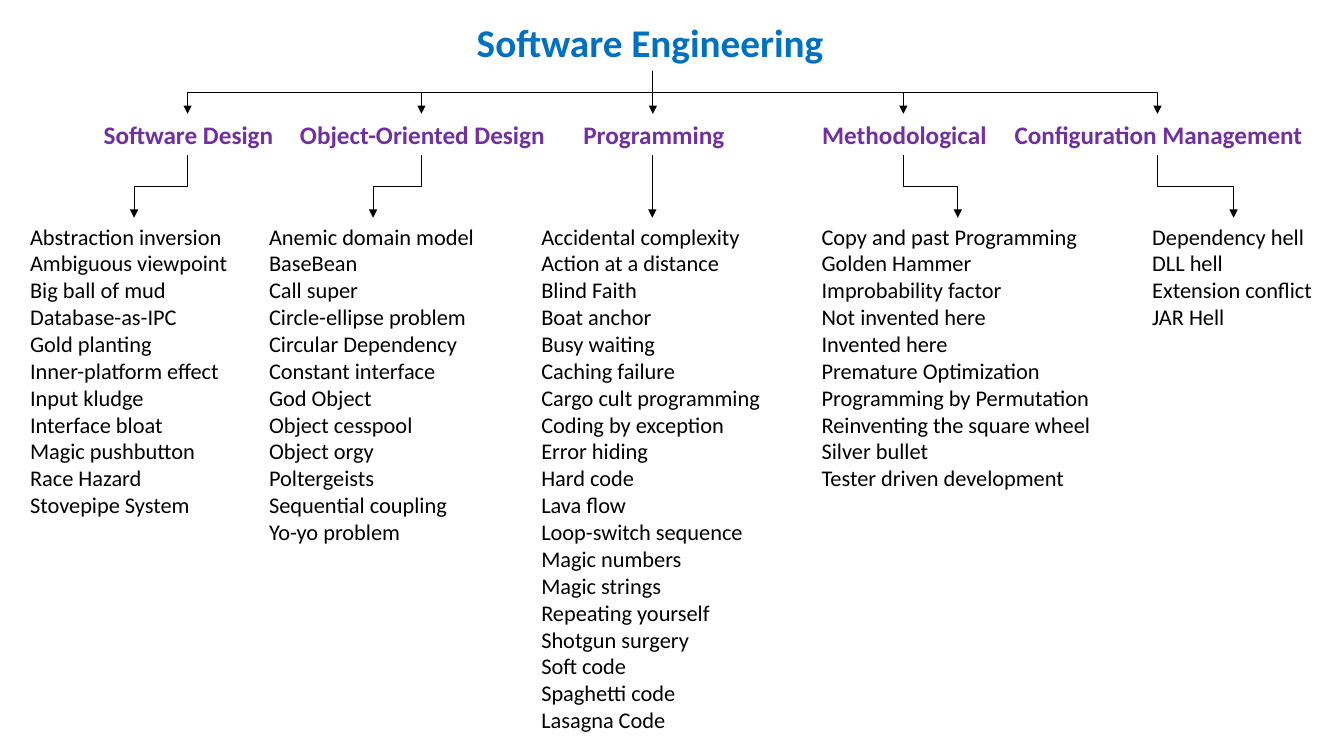
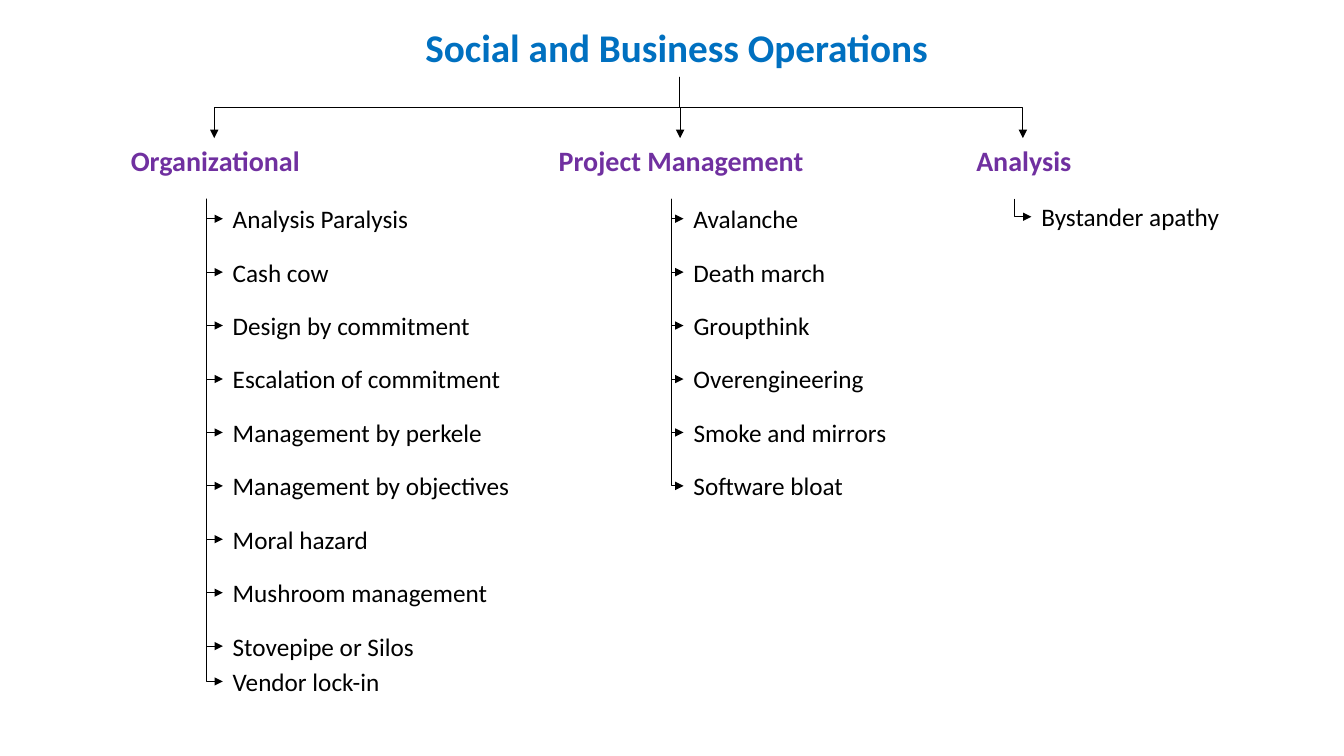
import dataclasses

import lxml.etree
import pptx
import pptx.dml.color
import pptx.enum.shapes
import pptx.enum.text
import pptx.oxml.ns
import pptx.util

Inches = pptx.util.Inches
Align = pptx.enum.text.PP_ALIGN


@dataclasses.dataclass(frozen=True)
class Theme:
    font: str = "Calibri"
    title: str = "0070C0"
    head: str = "7030A0"
    ink: str = "000000"
    big: int = 28
    mid: int = 20
    base: int = 18
    small: int = 16
    line: float = 0.75


theme = Theme()


def write(text, *, slide, left, top, width, high=0.4, size=theme.base,
          color=theme.ink, bold=False, align=Align.LEFT):
    box = slide.shapes.add_textbox(Inches(left), Inches(top), Inches(width + 0.02), Inches(high))
    frame = box.text_frame
    frame.word_wrap = True
    frame.auto_size = pptx.enum.text.MSO_AUTO_SIZE.SHAPE_TO_FIT_TEXT
    frame.text = text
    for para in frame.paragraphs:
        para.alignment = align
        para.font.name = theme.font
        para.font.size = pptx.util.Pt(size)
        para.font.bold = bold
        para.font.color.rgb = pptx.dml.color.RGBColor.from_string(color)


def link(slide, start, end, shape="bentConnector3"):
    (x1, y1), (x2, y2) = start, end
    mid_x, mid_y = (x1 + x2) / 2, (y1 + y2) / 2
    half_w, half_h = (y2 - y1) / 2, abs(x2 - x1) / 2
    line = slide.shapes.add_connector(
        pptx.enum.shapes.MSO_CONNECTOR.ELBOW,
        Inches(mid_x - half_w), Inches(mid_y - half_h),
        Inches(mid_x + half_w), Inches(mid_y + half_h))
    line.line.width = pptx.util.Pt(theme.line)
    line.line.color.rgb = pptx.dml.color.RGBColor.from_string(theme.ink)
    props = line._element.spPr
    frame = props.find(pptx.oxml.ns.qn("a:xfrm"))
    if x2 < x1:
        frame.set("rot", "5400000")
    else:
        frame.set("rot", "16200000")
        frame.set("flipH", "1")
    props.find(pptx.oxml.ns.qn("a:prstGeom")).set("prst", shape)
    tail = lxml.etree.SubElement(props.find(pptx.oxml.ns.qn("a:ln")), pptx.oxml.ns.qn("a:tailEnd"))
    tail.set("type", "triangle")
    lxml.etree.SubElement(props, pptx.oxml.ns.qn("a:effectLst"))


deck = pptx.Presentation()
deck.slide_width, deck.slide_height = Inches(13.33), Inches(7.5)
blank = deck.slide_layouts[6]

title_style = dict(high=0.57, size=theme.big, color=theme.title, bold=True)
head_style = dict(color=theme.head, bold=True, align=Align.CENTER)

topics = [
    ("Software Design", 0.8, 2.12, 0.2, 2.26, [
        "Abstraction inversion", "Ambiguous viewpoint", "Big ball of mud",
        "Database-as-IPC", "Gold planting", "Inner-platform effect",
        "Input kludge", "Interface bloat", "Magic pushbutton",
        "Race Hazard", "Stovepipe System"]),
    ("Object-Oriented Design", 2.69, 2.98, 2.57, 2.26, [
        "Anemic domain model", "BaseBean", "Call super",
        "Circle-ellipse problem", "Circular Dependency", "Constant interface",
        "God Object", "Object cesspool", "Object orgy", "Poltergeists",
        "Sequential coupling", "Yo-yo problem"]),
    ("Programming", 5.67, 1.61, 5.27, 2.4, [
        "Accidental complexity", "Action at a distance", "Blind Faith",
        "Boat anchor", "Busy waiting", "Caching failure",
        "Cargo cult programming", "Coding by exception", "Error hiding",
        "Hard code", "Lava flow", "Loop-switch sequence", "Magic numbers",
        "Magic strings", "Repeating yourself", "Shotgun surgery", "Soft code",
        "Spaghetti code", "Lasagna Code"]),
    ("Methodological", 8.04, 1.84, 8.05, 2.9, [
        "Copy and past Programming", "Golden Hammer", "Improbability factor",
        "Not invented here", "Invented here", "Premature Optimization",
        "Programming by Permutation", "Reinventing the square wheel",
        "Silver bullet", "Tester driven development"]),
    ("Configuration Management", 9.94, 3.08, 11.33, 1.81, [
        "Dependency hell", "DLL hell", "Extension conflict", "JAR Hell"]),
]

slide = deck.slides.add_slide(blank)
write("Software Engineering", slide=slide, left=4.63, top=0.13, width=3.69, **title_style)
for head, left, width, list_left, list_width, items in topics:
    center = left + width / 2
    write(head, slide=slide, left=left, top=1.13, width=width, **head_style)
    write("\n".join(items), slide=slide, left=list_left, top=2.16, width=list_width,
          high=0.1 + 0.27 * len(items), size=theme.small)
    link(slide, (6.47, 0.7), (center, 1.13))
    link(slide, (center, 1.54), (list_left + list_width / 2, 2.16))

groups = [
    ("Organizational", 1.18, 1.89, 2.21, 1.97, [
        ("Analysis Paralysis", 1.96), ("Cash cow", 1.16),
        ("Design by commitment", 2.58), ("Escalation of commitment", 2.89),
        ("Management by perkele", 2.7), ("Management by objectives", 2.98),
        ("Moral hazard", 1.56), ("Mushroom management", 2.75),
        ("Stovepipe or Silos", 2.02), ("Vendor lock-in", 1.68)]),
    ("Project Management", 5.42, 2.65, 6.78, 1.97, [
        ("Avalanche", 1.25), ("Death march", 1.52), ("Groupthink", 1.37),
        ("Overengineering", 1.91), ("Smoke and mirrors", 2.13),
        ("Software bloat", 1.71)]),
    ("Analysis", 9.57, 1.15, 10.23, 1.95, [("Bystander apathy", 1.98)]),
]
step, last = 0.53, 6.56

slide = deck.slides.add_slide(blank)
write("Social and Business Operations", slide=slide, left=4.12, top=0.18, width=5.24, **title_style)
for head, left, width, item_left, first, items in groups:
    center = left + width / 2
    write(head, slide=slide, left=left, top=1.37, width=width, high=0.44,
          size=theme.mid, **head_style)
    link(slide, (6.74, 0.76), (center, 1.37))
    for row, (item, wide) in enumerate(items):
        top = min(first + step * row, last)
        write(item, slide=slide, left=item_left, top=top, width=wide)
        link(slide, (center - 0.08, 1.97), (item_left, top + 0.2), "bentConnector2")

deck.save("out.pptx")
